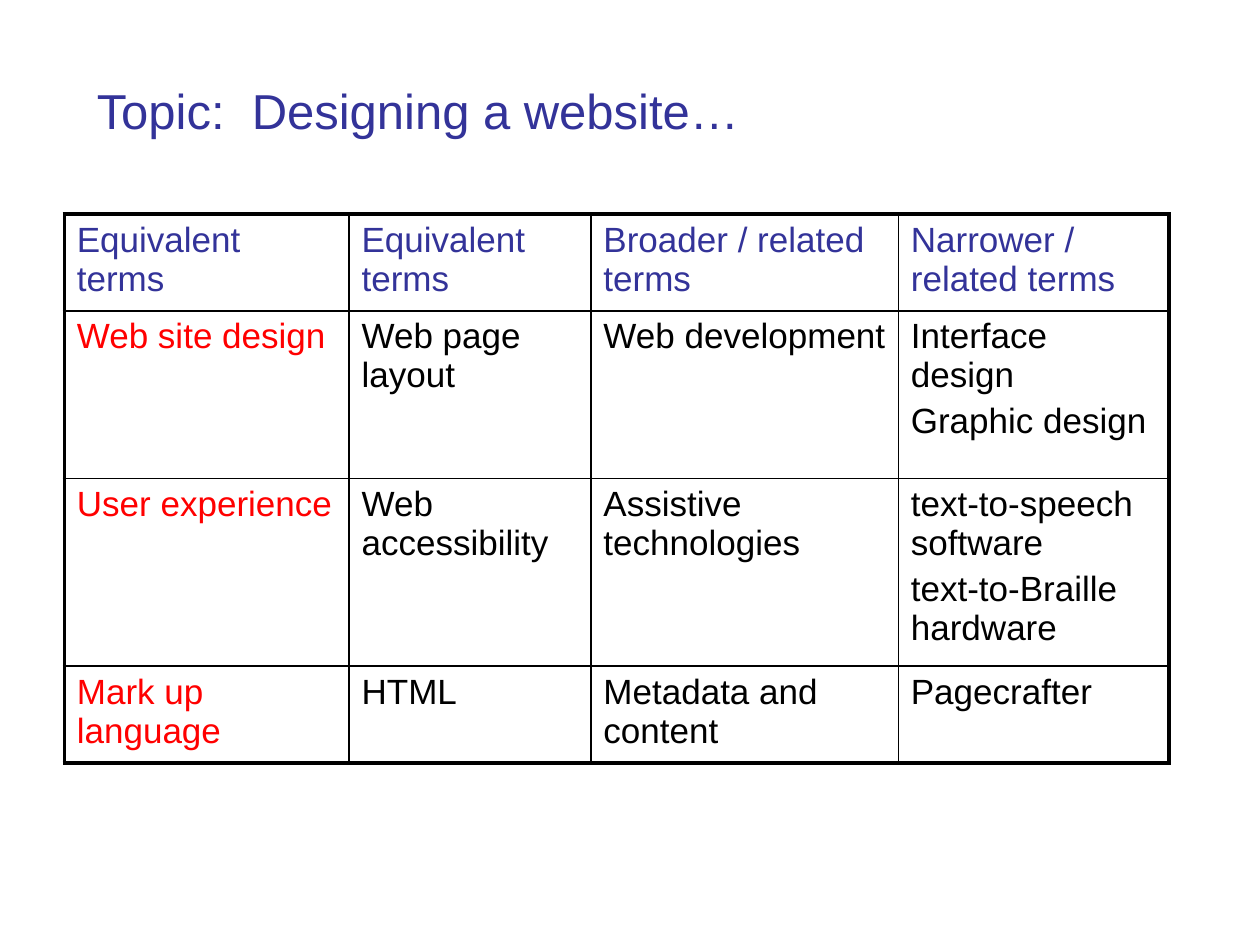
from dataclasses import dataclass

from lxml.etree import SubElement
from pptx import Presentation
from pptx.dml.color import RGBColor as Rgb
from pptx.oxml.ns import qn
from pptx.util import Inches, Pt


@dataclass(frozen=True)
class Theme:
    font: str = "Arial"
    head: str = "333399"
    key: str = "FF0000"
    body: str = "000000"
    rule: str = "000000"
    title: float = 28
    text: float = 20
    thin: float = 1
    thick: float = 2.25


@dataclass(frozen=True)
class Row:
    height: float
    cells: tuple[str, ...]


THEME = Theme()
COLS = (2.26, 1.92, 2.44, 2.15)
ROWS = (
    Row(0.76, ("Equivalent terms", "Equivalent terms",
               "Broader / related terms", "Narrower / related terms")),
    Row(1.33, ("Web site design", "Web page layout",
               "Web development", "Interface design\nGraphic design")),
    Row(1.4, ("User experience", "Web accessibility", "Assistive technologies",
              "text-to-speech software\ntext-to-Braille hardware")),
    Row(0.72, ("Mark up language", "HTML",
               "Metadata and content", "Pagecrafter")),
)


def write(frame, text: str, *, size: float, color: str,
          spacing: float = 1.0) -> None:
    """Fill a text frame, one paragraph for each line of text."""
    frame.word_wrap = True
    for i, line in enumerate(text.split("\n")):
        para = frame.add_paragraph() if i else frame.paragraphs[0]
        para.line_spacing = spacing
        if i:
            para.space_before = Pt(size * 0.2)
        run = para.add_run()
        run.text = line
        run.font.name = THEME.font
        run.font.size = Pt(size)
        run.font.color.rgb = Rgb.from_string(color)


def border(cell, widths: dict[str, float]) -> None:
    """Draw the sides of a cell; lines must precede the fill in tcPr."""
    props = cell._tc.get_or_add_tcPr()
    for side, width in widths.items():
        line = SubElement(props, qn(f"a:ln{side}"), w=str(int(Pt(width))))
        fill = SubElement(line, qn("a:solidFill"))
        SubElement(fill, qn("a:srgbClr"), val=THEME.rule)
    cell.fill.background()


def add_terms(slide, left: float, top: float) -> None:
    """Add the grid of search terms with a thick outer frame."""
    high = sum(row.height for row in ROWS)
    table = slide.shapes.add_table(
        len(ROWS), len(COLS), Inches(left), Inches(top),
        Inches(sum(COLS)), Inches(high)).table
    table.first_row = table.horz_banding = False
    for col, width in zip(table.columns, COLS):
        col.width = Inches(width)
    for r, row in enumerate(ROWS):
        table.rows[r].height = Inches(row.height)
        for c, text in enumerate(row.cells):
            cell = table.cell(r, c)
            color = THEME.head if r == 0 else THEME.key if c == 0 else THEME.body
            write(cell.text_frame, text, size=THEME.text, color=color)
            outer = {"L": c == 0, "R": c == len(COLS) - 1,
                     "T": r == 0, "B": r == len(ROWS) - 1}
            border(cell, {side: THEME.thick if edge else THEME.thin
                          for side, edge in outer.items()})


def main() -> None:
    deck = Presentation()
    deck.slide_width, deck.slide_height = Inches(10), Inches(7.5)
    slide = deck.slides.add_slide(deck.slide_layouts[6])

    # Title
    box = slide.shapes.add_textbox(
        Inches(0.67), Inches(0.68), Inches(8.43), Inches(0.52))
    write(box.text_frame, "Topic:  Designing a website…",
          size=THEME.title, color=THEME.head, spacing=0.8)

    # Table of terms
    add_terms(slide, 0.51, 1.7)

    deck.save("out.pptx")


if __name__ == "__main__":
    main()
